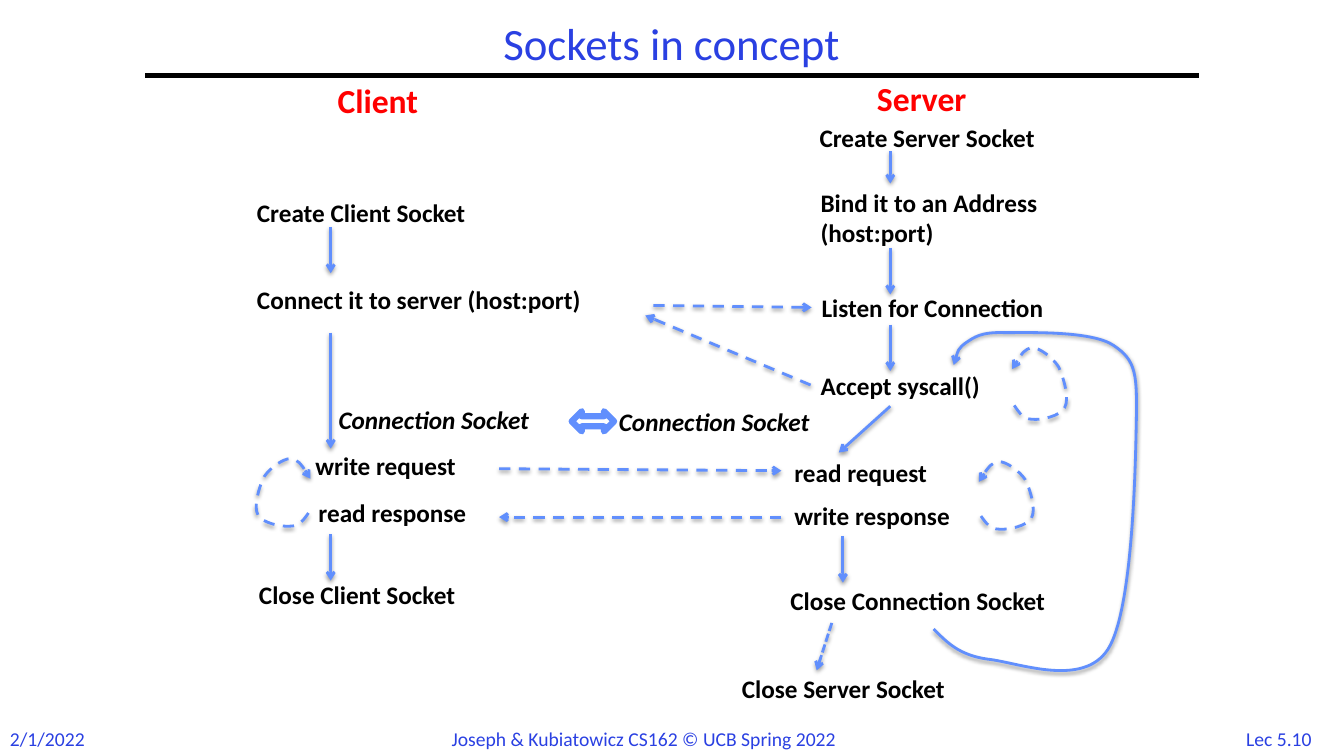
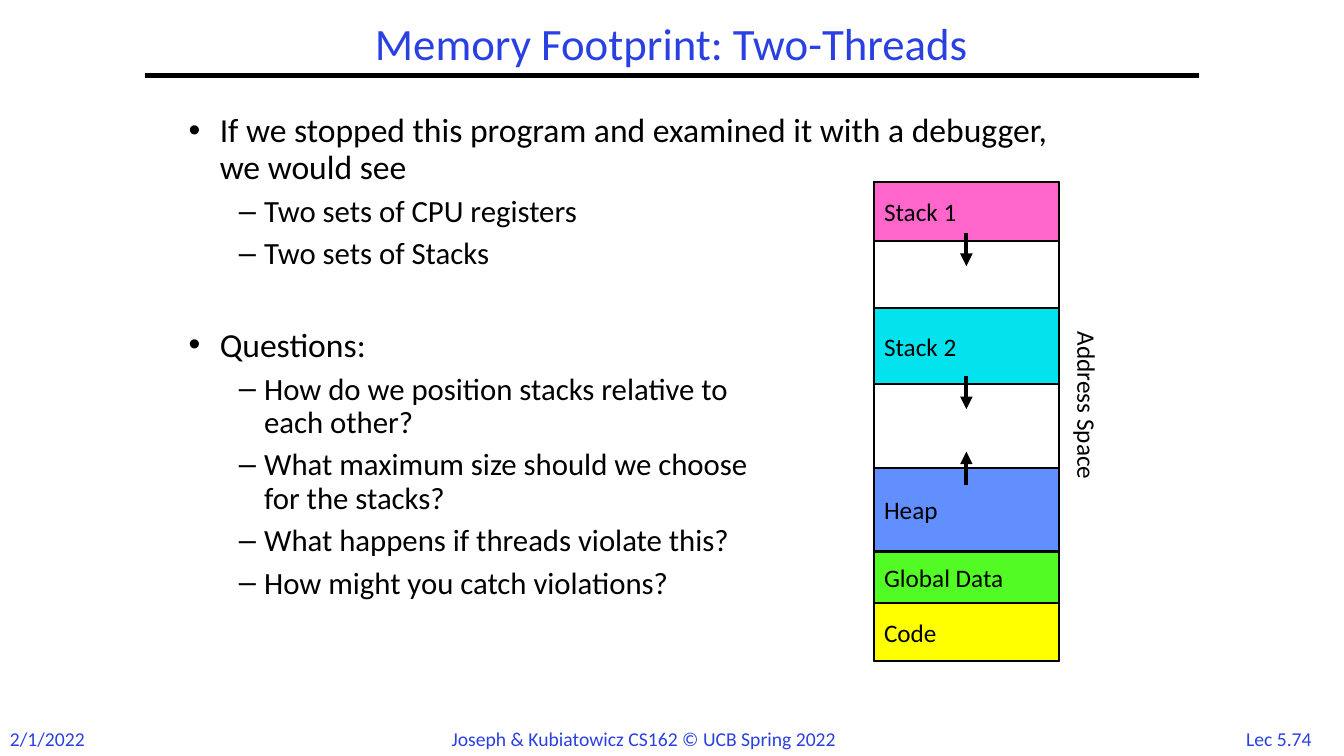
from lxml import etree
from pptx import Presentation, util as u
from pptx.dml.color import RGBColor
from pptx.enum import dml, shapes, text
from pptx.oxml import ns

BLUE, SKY, RED, BLACK, WHITE = "2A40E2", "618FFD", "FF0000", "000000", "FFFFFF"
FACE = "Calibri"
DASH, DOT = dml.MSO_LINE.DASH, dml.MSO_LINE.SQUARE_DOT
LOOP = [(0.02, 0.54), (0.07, 0.61), (0.11, 0.67), (0.2, 0.67),
        (0.28, 0.68), (0.48, 0.64), (0.52, 0.56),
        (0.57, 0.48), (0.51, 0.28), (0.46, 0.18),
        (0.4, 0.09), (0.27, 0), (0.2, 0),
        (0.12, 0.01), (0.06, 0.1), (0, 0.2)]
RETURN = [(0, 2.94), (0.13, 3.07), (0.25, 3.2), (0.54, 3.24),
          (0.83, 3.27), (1.48, 3.53), (1.73, 3.14),
          (1.97, 2.76), (2, 1.41), (2.01, 0.91),
          (2.02, 0.41), (2.01, 0.28), (1.79, 0.13),
          (1.58, -0.02), (0.95, 0), (0.71, 0),
          (0.46, -0.01), (0.4, 0.05), (0.32, 0.1),
          (0.24, 0.16), (0.22, 0.24), (0.2, 0.32)]


def color(code):
    return RGBColor.from_string(code)


def box(*sizes):
    return [u.Inches(size) for size in sizes]


def style(para, size, code=BLACK, bold=False, slant=False):
    for run in para.runs:
        font = run.font
        font.name, font.size = FACE, u.Pt(size)
        font.bold, font.italic = bold, slant
        font.color.rgb = color(code)


def label(slide, x, y, w, words, size=18, code=BLACK, bold=False, slant=False):
    lines = words.count("\n") + 1
    item = slide.shapes.add_textbox(*box(x, y, w, 0.1 + lines * size / 60))
    frame = item.text_frame
    frame.word_wrap = True
    frame.text = words
    for para in frame.paragraphs:
        style(para, size, code, bold, slant)
    return item


def stroke(item, code, width, dash=None, tip=None, shade=False):
    line = item.line
    line.color.rgb = color(code)
    line.width = u.Pt(width)
    if dash:
        line.dash_style = dash
    props = item.element.spPr
    if tip:
        etree.SubElement(props.find(ns.qn("a:ln")), ns.qn("a:tailEnd"), type=tip)
    effect = etree.SubElement(props, ns.qn("a:effectLst"))
    if shade:
        cast = etree.SubElement(effect, ns.qn("a:outerShdw"), blurRad="39370",
                                dist="20320", dir="5400000", rotWithShape="0")
        tone = etree.SubElement(cast, ns.qn("a:srgbClr"), val=BLACK)
        etree.SubElement(tone, ns.qn("a:alpha"), val="38000")


def link(slide, ends, code=SKY, width=2, dash=None, tip="arrow", shade=True):
    item = slide.shapes.add_connector(shapes.MSO_CONNECTOR.STRAIGHT, *box(*ends))
    stroke(item, code, width, dash, tip, shade)


def blend(four, t):
    mix = ((1 - t) ** 3, 3 * t * (1 - t) ** 2, 3 * t * t * (1 - t), t ** 3)
    return box(*(sum(m * p[k] for m, p in zip(mix, four)) for k in (0, 1)))


def bend(item, knots):
    route = next(item.element.iter(ns.qn("a:path")))
    for child in list(route):
        route.remove(child)
    for i, knot in enumerate(knots):
        if i == 0:
            part = etree.SubElement(route, ns.qn("a:moveTo"))
        elif i % 3 == 1:
            part = etree.SubElement(route, ns.qn("a:cubicBezTo"))
        px, py = box(*knot)
        etree.SubElement(part, ns.qn("a:pt"), x=str(px - item.left), y=str(py - item.top))


def curve(slide, x, y, knots, dash=None, sx=1, sy=1):
    knots = [(x + sx * a, y + sy * b) for a, b in knots]
    dots = [blend(knots[i:i + 4], n / 10)
            for i in range(0, len(knots) - 1, 3) for n in range(1, 11)]
    pen = slide.shapes.build_freeform(*box(*knots[0]))
    pen.add_line_segments(dots, close=False)
    item = pen.convert_to_shape()
    bend(item, knots)
    item.fill.background()
    stroke(item, SKY, 2, dash, "arrow", True)


def frame(deck, layout, title, page):
    slide = deck.slides.add_slide(deck.slide_layouts[layout])
    head = slide.shapes.title
    head.left, head.top, head.width, head.height = box(1.44, 0.17, 10.44, 0.58)
    body = head.text_frame
    body.text = title
    body.auto_size = text.MSO_AUTO_SIZE.NONE
    body.vertical_anchor = text.MSO_ANCHOR.MIDDLE
    para = body.paragraphs[0]
    para.alignment, para.line_spacing = text.PP_ALIGN.CENTER, 0.9
    style(para, 32, BLUE)
    link(slide, (1.44, 0.75, 11.89, 0.75), BLACK, 3, tip=None, shade=False)
    label(slide, 0, 7.16, 0.98, "2/1/2022", 14, BLUE)
    label(slide, 4.38, 7.16, 4.55, "Joseph & Kubiatowicz CS162 © UCB Spring 2022", 14, BLUE)
    foot = label(slide, 12.2, 7.16, 0.97, page, 14, BLUE)
    foot.text_frame.paragraphs[0].alignment = text.PP_ALIGN.CENTER
    return slide


def column(slide, x, y, steps, links):
    for dx, dy, w, words in steps:
        label(slide, x + dx, y + dy, w, words, bold=True)
    flow(slide, x, y, links)


def flow(slide, x, y, links, dash=None):
    for x1, y1, x2, y2 in links:
        link(slide, (x + x1, y + y1, x + x2, y + y2), dash=dash)


def client(slide, x, y):
    label(slide, x + 0.8, y, 1.14, "Client", 24, RED, True)
    column(slide, x, y, [
        (0, 1.17, 2.66, "Create Client Socket"),
        (0, 2.03, 3.92, "Connect it to server (host:port)"),
        (0.58, 3.68, 1.77, "write request"),
        (0.61, 4.14, 1.91, "read response"),
        (0.02, 4.96, 2.57, "Close Client Socket"),
    ], [(0.83, a, 0.83, b) for a, b in ((1.51, 1.97), (2.56, 3.71), (4.56, 5.02))])
    label(slide, x + 0.81, y + 3.22, 2.49, "Connection Socket", bold=True, slant=True)
    curve(slide, x + 0.63, y + 3.81, LOOP, DASH, sx=-1)


def server(slide, x, y):
    label(slide, x + 0.57, y, 1.3, "Server", 24, RED, True)
    column(slide, x, y, [
        (0, 0.44, 2.74, "Create Server Socket"),
        (0.01, 1.09, 2.8, "Bind it to an Address\n(host:port)"),
        (0.02, 2.13, 2.8, "Listen for Connection"),
        (0.01, 2.9, 2.13, "Accept syscall()"),
        (-0.25, 3.77, 1.77, "read request"),
        (-0.25, 4.19, 1.99, "write response"),
        (-0.29, 5.04, 3.25, "Close Connection Socket"),
        (-0.77, 5.91, 2.7, "Close Server Socket"),
    ], [(0.8, a, 0.8, b) for a, b in ((0.78, 1.1), (1.74, 2.2), (2.5, 2.96))]
        + [(0.8, 3.31, 0.29, 3.77), (0.33, 4.6, 0.33, 5.06)])
    flow(slide, x, y, [(0.22, 5.46, 0.07, 5.93)], DOT)
    curve(slide, x + 2.01, y + 2.73, LOOP, DASH, sy=1.06)
    curve(slide, x + 1.68, y + 3.86, LOOP, DASH)
    curve(slide, x + 1.23, y + 2.58, RETURN)


def bridge(slide, x, y):
    flow(slide, x, y, [(1.53, 0, 3.1, 0.02), (3.09, 0.79, 1.45, 0.1),
                       (0, 1.62, 2.8, 1.64), (2.8, 2.1, 0, 2.1)], DASH)
    label(slide, x + 1.09, y + 0.95, 2.49, "Connection Socket", bold=True, slant=True)
    item = slide.shapes.add_shape(shapes.MSO_SHAPE.LEFT_RIGHT_ARROW,
                                  *box(x + 0.72, y + 1.05, 0.42, 0.2))
    item.fill.solid()
    item.fill.fore_color.rgb = color(WHITE)
    stroke(item, SKY, 4.5)


def bullets(slide, x, y, w, h):
    rows = [
        (0, 0, "If we stopped this program and examined it with a debugger, we would see"),
        (1, 6.6, "Two sets of CPU registers"),
        (1, 6.6, "Two sets of Stacks"),
        (0, 40.4, "Questions:"),
        (1, 6.6, "How do we position stacks relative to \veach other?"),
        (1, 6.6, "What maximum size should we choose\vfor the stacks?"),
        (1, 6.6, "What happens if threads violate this?"),
        (1, 6.6, "How might you catch violations?"),
    ]
    item = slide.placeholders[1]
    item.left, item.top, item.width, item.height = box(x, y, w, h)
    body = item.text_frame
    body.auto_size = text.MSO_AUTO_SIZE.NONE
    for i, (level, gap, words) in enumerate(rows):
        para = body.add_paragraph() if i else body.paragraphs[0]
        para.text = words
        para.level = level
        props = para._p.get_or_add_pPr()
        left, hang, mark = ((0.31, 0.31, "•"), (0.75, 0.25, "–"))[level]
        props.set("marL", str(u.Inches(left)))
        props.set("indent", str(-u.Inches(hang)))
        etree.SubElement(props, ns.qn("a:buChar"), char=mark)
        para.line_spacing = 0.9
        para.space_before = u.Pt(gap)
        style(para, (24, 22)[level])


def block(slide, x, y, w, h, code, words=""):
    item = slide.shapes.add_shape(shapes.MSO_SHAPE.RECTANGLE, *box(x, y, w, h))
    item.fill.solid()
    item.fill.fore_color.rgb = color(code)
    stroke(item, BLACK, 1.5)
    if words:
        body = item.text_frame
        body.text = words
        body.vertical_anchor = text.MSO_ANCHOR.MIDDLE
        body.paragraphs[0].alignment = text.PP_ALIGN.LEFT
        style(body.paragraphs[0], 18)


def memory(slide, x, y, w, h):
    block(slide, x, y, w, h, WHITE)
    for top, tall, code, words in [
            (0, 0.58, "FF66CC", "Stack 1"), (1.25, 0.75, "02E3EE", "Stack 2"),
            (2.83, 0.83, SKY, "Heap"), (3.67, 0.5, "53FB25", "Global Data"),
            (4.17, 0.58, "FFFF00", "Code")]:
        block(slide, x, y + top, w, tall, code, words)
    mid = x + w / 2
    for start, end in ((0.5, 0.83), (1.92, 2.25), (3, 2.67)):
        link(slide, (mid, y + start, mid, y + end), BLACK, 3, tip="triangle", shade=False)
    side = label(slide, x + 1.16, y + 2.14, 1.91, "Address Space")
    side.rotation = 90


def main():
    deck = Presentation()
    deck.slide_width, deck.slide_height = box(13.33, 7.5)
    slide = frame(deck, 5, "Sockets in concept", "Lec 5.10")
    client(slide, 2.45, 0.74)
    server(slide, 8.03, 0.72)
    bridge(slide, 4.95, 3.03)
    slide = frame(deck, 1, "Memory Footprint: Two-Threads", "Lec 5.74")
    bullets(slide, 1.77, 1.08, 8.92, 5.58)
    memory(slide, 8.67, 1.81, 1.83, 4.75)
    deck.save("out.pptx")


if __name__ == "__main__":
    main()
